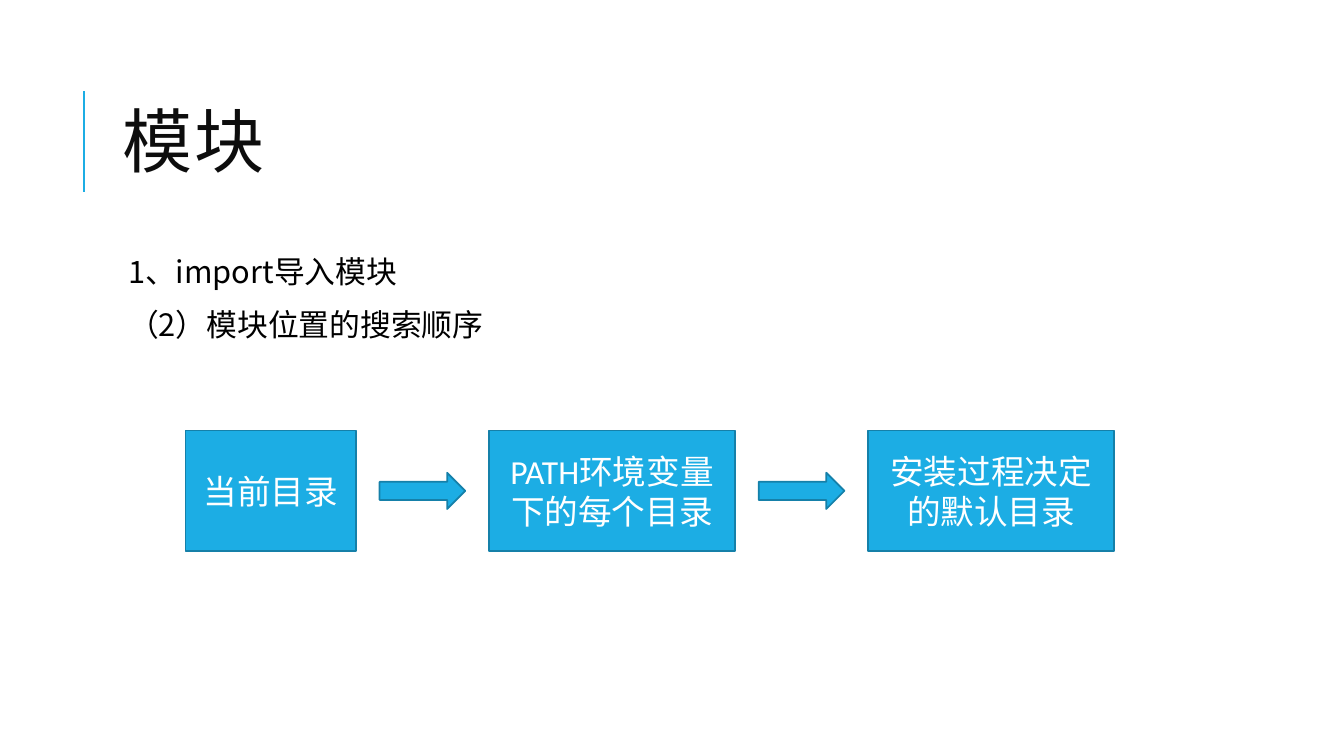
from lxml import etree
from pptx import Presentation
from pptx.dml.color import RGBColor
from pptx.enum.shapes import MSO_CONNECTOR, MSO_SHAPE
from pptx.enum.text import MSO_ANCHOR, PP_ALIGN
from pptx.oxml.ns import qn
from pptx.util import Inches, Pt

STRAIGHT = MSO_CONNECTOR.STRAIGHT
RECTANGLE, RIGHT_ARROW = MSO_SHAPE.RECTANGLE, MSO_SHAPE.RIGHT_ARROW
TOP, MIDDLE = MSO_ANCHOR.TOP, MSO_ANCHOR.MIDDLE
CENTER = PP_ALIGN.CENTER

BLUE = RGBColor(0x1C, 0xAD, 0xE4)
DARK_BLUE = RGBColor(0x15, 0x80, 0xA9)
TITLE_COLOR = RGBColor(0x0D, 0x0D, 0x0D)
BLACK = RGBColor(0, 0, 0)
WHITE = RGBColor(0xFF, 0xFF, 0xFF)
CJK_FONT, LATIN_FONT = "Noto Sans CJK SC", "Calibri"

TITLE = "模块"
BODY = ["1、import导入模块", "（2）模块位置的搜索顺序"]
SEARCH_STEPS = [
    ("当前目录", 1.84, 1.69),
    ("PATH环境变量下的每个目录", 4.85, 2.44),
    ("安装过程决定的默认目录", 8.61, 2.44),
]
STEP_TOP, STEP_HEIGHT = 4.27, 1.2
ARROW_WIDTH, ARROW_HEIGHT = 0.85, 0.36
TEXT_LEFT, TEXT_WIDTH = 1.12, 10.63

presentation = Presentation()
presentation.slide_width = Inches(13.33)
presentation.slide_height = Inches(7.5)
slide = presentation.slides.add_slide(presentation.slide_layouts[6])


def style_run(run, size, color, latin):
    run.font.size = Pt(size)
    run.font.color.rgb = color
    run.font.name = latin
    east_asian = etree.SubElement(run.font._element, qn("a:ea"))
    east_asian.set("typeface", CJK_FONT)


def add_text(lines, top, height, anchor, size, color, line_spacing):
    frame = slide.shapes.add_textbox(
        Inches(TEXT_LEFT), Inches(top), Inches(TEXT_WIDTH), Inches(height)
    ).text_frame
    frame.word_wrap = True
    frame.vertical_anchor = anchor
    frame.text = "\n".join(lines)
    for paragraph in frame.paragraphs:
        paragraph.line_spacing = line_spacing
        style_run(paragraph.runs[0], size, color, CJK_FONT)
    return frame


def add_blue_shape(preset, left, top, width, height):
    shape = slide.shapes.add_shape(
        preset, Inches(left), Inches(top), Inches(width), Inches(height)
    )
    shape.shadow.inherit = False
    shape.fill.solid()
    shape.fill.fore_color.rgb = BLUE
    shape.line.color.rgb = DARK_BLUE
    shape.line.width = Pt(1.25)
    return shape


title_rule = slide.shapes.add_connector(
    STRAIGHT, Inches(0.83), Inches(1.9), Inches(0.83), Inches(0.9)
)
title_rule.line.color.rgb = BLUE
title_rule.line.width = Pt(1.5)
etree.SubElement(title_rule._element.spPr, qn("a:effectLst"))

title = add_text([TITLE], 0.64, 1.64, MIDDLE, 50, TITLE_COLOR, 0.8)
title.paragraphs[0].runs[0].font._element.set("spc", "100")

body = add_text(BODY, 2.5, 4.4, TOP, 22, BLACK, 0.9)
body.margin_left = body.margin_right = Inches(0.05)
body.margin_top = body.margin_bottom = Inches(0.05)
for paragraph in body.paragraphs:
    paragraph.space_before = Pt(12)
    paragraph.space_after = Pt(2)
    paragraph._p.get_or_add_pPr().set("marL", str(Inches(0.1)))

for label, left, width in SEARCH_STEPS:
    step = add_blue_shape(RECTANGLE, left, STEP_TOP, width, STEP_HEIGHT).text_frame
    step.word_wrap = True
    step.vertical_anchor = MIDDLE
    step.text = label
    step.paragraphs[0].alignment = CENTER
    style_run(step.paragraphs[0].runs[0], 24, WHITE, LATIN_FONT)

arrow_top = STEP_TOP + (STEP_HEIGHT - ARROW_HEIGHT) / 2
for (_, left, width), (_, next_left, _) in zip(SEARCH_STEPS, SEARCH_STEPS[1:]):
    arrow_left = (left + width + next_left - ARROW_WIDTH) / 2
    add_blue_shape(RIGHT_ARROW, arrow_left, arrow_top, ARROW_WIDTH, ARROW_HEIGHT)

presentation.save("out.pptx")
